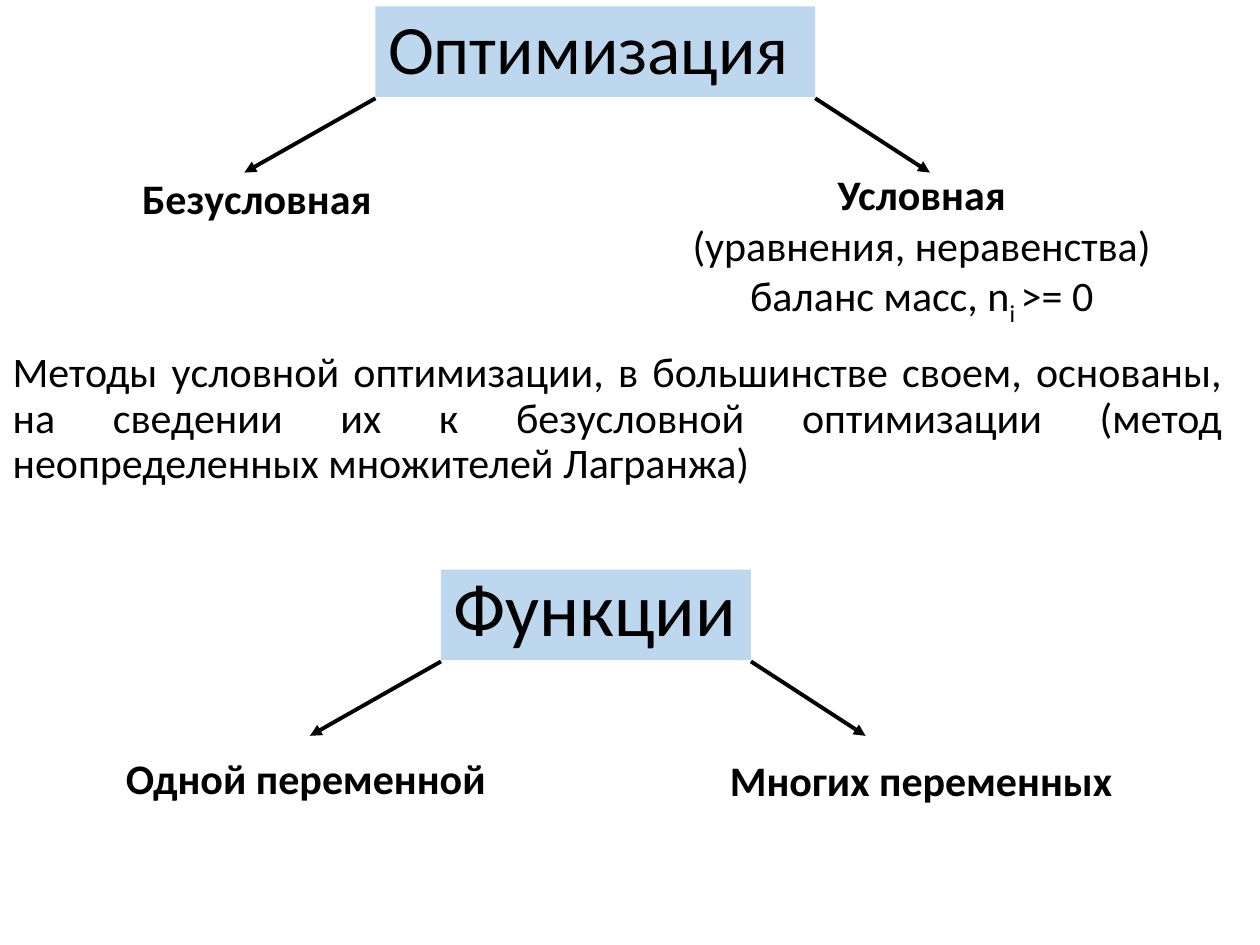
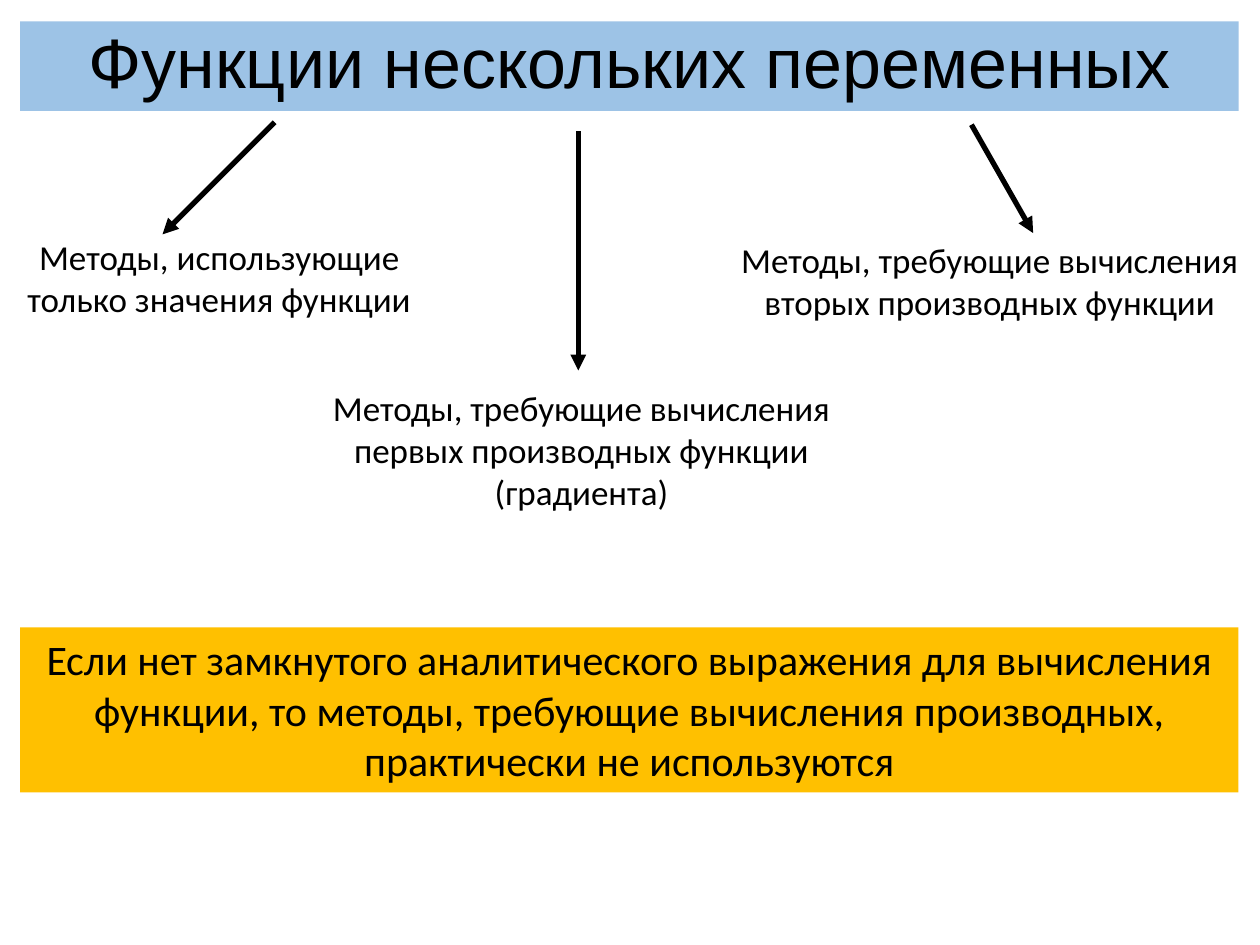
"""Build two slides that classify optimization problems and methods."""
from lxml import etree
from pptx import Presentation, util as u
from pptx.dml import color
from pptx.enum import shapes, text
from pptx.oxml import ns

BLACK, PALE, BLUE, GOLD = "000000", "BDD7EE", "9DC3E6", "FFC000"
LEFT, CENTER, JUSTIFY = text.PP_ALIGN.LEFT, text.PP_ALIGN.CENTER, text.PP_ALIGN.JUSTIFY
TOP, MIDDLE = text.MSO_ANCHOR.TOP, text.MSO_ANCHOR.MIDDLE

TREES = [
    {"text": "Оптимизация", "at": (2.98, 0.05, 3.49, 0.72), "size": 39.6, "spacing": 0.9},
    {"text": "Функции", "at": (3.5, 4.52, 2.46, 0.72), "size": 42.9, "spacing": 0.8},
]
BRANCHES = [(-1.04, 0.59), (0.91, 0.59)]
KINDS = [
    ((1.03, 1.32, 2.05, 0.5), LEFT, [[("Безусловная", {"bold": True})]]),
    ((5.27, 1.29, 4.09, 1.31), CENTER, [
        [("Условная", {"bold": True})],
        [("(уравнения, неравенства)", {})],
        [("баланс масс, n", {}), ("i ", {"baseline": -25}), (">= 0", {})],
    ]),
    ((0.9, 5.92, 3.14, 0.5), LEFT, [[("Одной переменной", {"bold": True})]]),
    ((5.67, 5.94, 3.28, 0.5), CENTER, [[("Многих переменных", {"bold": True})]]),
]
REDUCTION = ("Методы условной оптимизации, в большинстве своем, основаны, на сведении их "
             "к безусловной оптимизации (метод неопределенных множителей Лагранжа)")

HEADING = "Функции нескольких переменных"
METHODS = [
    ("Методы, использующие только значения функции",
     (-0.01, 1.82, 3.5, 0.77), ((2.18, 0.97), (1.29, 1.86))),
    ("Методы, требующие вычисления первых производных функции (градиента)",
     (2.47, 3.02, 4.29, 1.11), ((4.59, 1.04), (4.59, 2.94))),
    ("Методы, требующие вычисления вторых производных функции",
     (5.71, 1.84, 4.29, 0.77), ((7.71, 0.99), (8.2, 1.85))),
]
CAUTION = ("Если нет замкнутого аналитического выражения для вычисления функции, то методы, "
           "требующие вычисления производных, практически не используются")


def rgb(value):
    return color.RGBColor.from_string(value)


def apply(obj, values):
    for name, value in values.items():
        setattr(obj, name, value)


def place(sp, at):
    apply(sp, dict(zip(("left", "top", "width", "height"), map(u.Inches, at))))


def paint(sp, fill):
    sp.fill.solid()
    sp.fill.fore_color.rgb = rgb(fill)
    sp.line.fill.background()


def write(sp, paragraphs, size=24, font="Calibri", anchor=TOP, **layout):
    """Fill a shape with paragraphs of (text, format) runs."""
    if isinstance(paragraphs, str):
        paragraphs = [[(paragraphs, {})]]
    tf = sp.text_frame
    apply(tf, {"word_wrap": True, "auto_size": text.MSO_AUTO_SIZE.NONE,
               "vertical_anchor": anchor})
    for i, runs in enumerate(paragraphs):
        p = tf.add_paragraph() if i else tf.paragraphs[0]
        apply(p, layout)
        for words, style in runs:
            r = p.add_run()
            r.text = words
            base = {"name": font, "size": u.Pt(size), "bold": False}
            apply(r.font, base | {k: v for k, v in style.items() if k != "baseline"})
            r.font.color.rgb = rgb(BLACK)
            if "baseline" in style:
                r._r.get_or_add_rPr().set("baseline", str(style["baseline"] * 1000))


def add_box(slide, at, fill):
    sp = slide.shapes.add_shape(shapes.MSO_SHAPE.RECTANGLE, *map(u.Inches, at))
    sp.shadow.inherit = False
    paint(sp, fill)
    return sp


def add_label(slide, at, content, **style):
    write(slide.shapes.add_textbox(*map(u.Inches, at)), content, **style)


def set_title(slide, at, fill, content, **style):
    sp = slide.shapes.title
    place(sp, at)
    paint(sp, fill)
    write(sp, content, anchor=MIDDLE, **style)


def add_arrow(slide, start, end, width):
    sp = slide.shapes.add_connector(
        shapes.MSO_CONNECTOR.STRAIGHT, *map(u.Inches, (*start, *end)))
    sp.line.color.rgb = rgb(BLACK)
    sp.line.width = u.Pt(width)
    etree.SubElement(sp.line._get_or_add_ln(), ns.qn("a:tailEnd"), type="triangle")
    etree.SubElement(sp._element.spPr, ns.qn("a:effectLst"))


def build_kinds(prs):
    slide = prs.slides.add_slide(prs.slide_layouts[1])
    for i, tree in enumerate(TREES):
        style = {"size": tree["size"], "line_spacing": tree["spacing"], "alignment": LEFT}
        if i:
            write(add_box(slide, tree["at"], PALE), tree["text"], anchor=MIDDLE, **style)
        else:
            set_title(slide, tree["at"], PALE, tree["text"], **style)
        left, top, width, height = tree["at"]
        for x, (dx, dy) in zip((left, left + width), BRANCHES):
            y = top + height + 0.01
            add_arrow(slide, (x, y), (x + dx, y + dy), 2.25)
    body = slide.placeholders[1]
    place(body, (0, 2.74, 9.8, 1.22))
    write(body, REDUCTION, alignment=JUSTIFY, line_spacing=0.9, space_before=u.Pt(10))
    pPr = body.text_frame.paragraphs[0]._p.get_or_add_pPr()
    pPr.set("marL", "0")
    pPr.set("indent", "0")
    etree.SubElement(pPr, ns.qn("a:buNone"))
    for at, align, paragraphs in KINDS:
        add_label(slide, at, paragraphs, alignment=align)


def build_methods(prs):
    slide = prs.slides.add_slide(prs.slide_layouts[5])
    set_title(slide, (0.16, 0.17, 9.67, 0.71), BLUE, HEADING,
              size=40, font="Arial", alignment=CENTER, line_spacing=0.9)
    for words, at, (start, end) in METHODS:
        add_arrow(slide, start, end, 3)
        add_label(slide, at, words, size=20, alignment=CENTER)
    write(add_box(slide, (0.16, 4.98, 9.67, 1.31), GOLD), CAUTION, alignment=CENTER)


def main():
    prs = Presentation()
    apply(prs, {"slide_width": u.Inches(10), "slide_height": u.Inches(7.5)})
    build_kinds(prs)
    build_methods(prs)
    prs.save("out.pptx")


if __name__ == "__main__":
    main()
